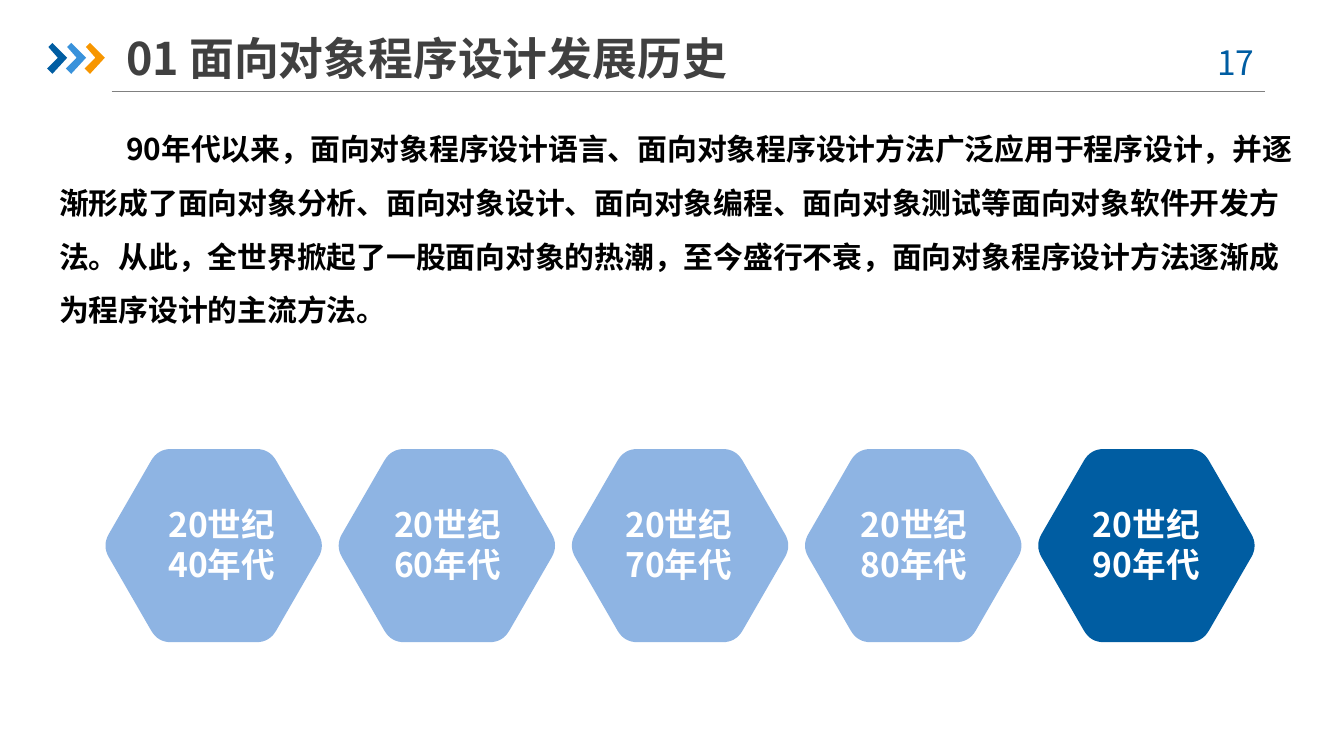
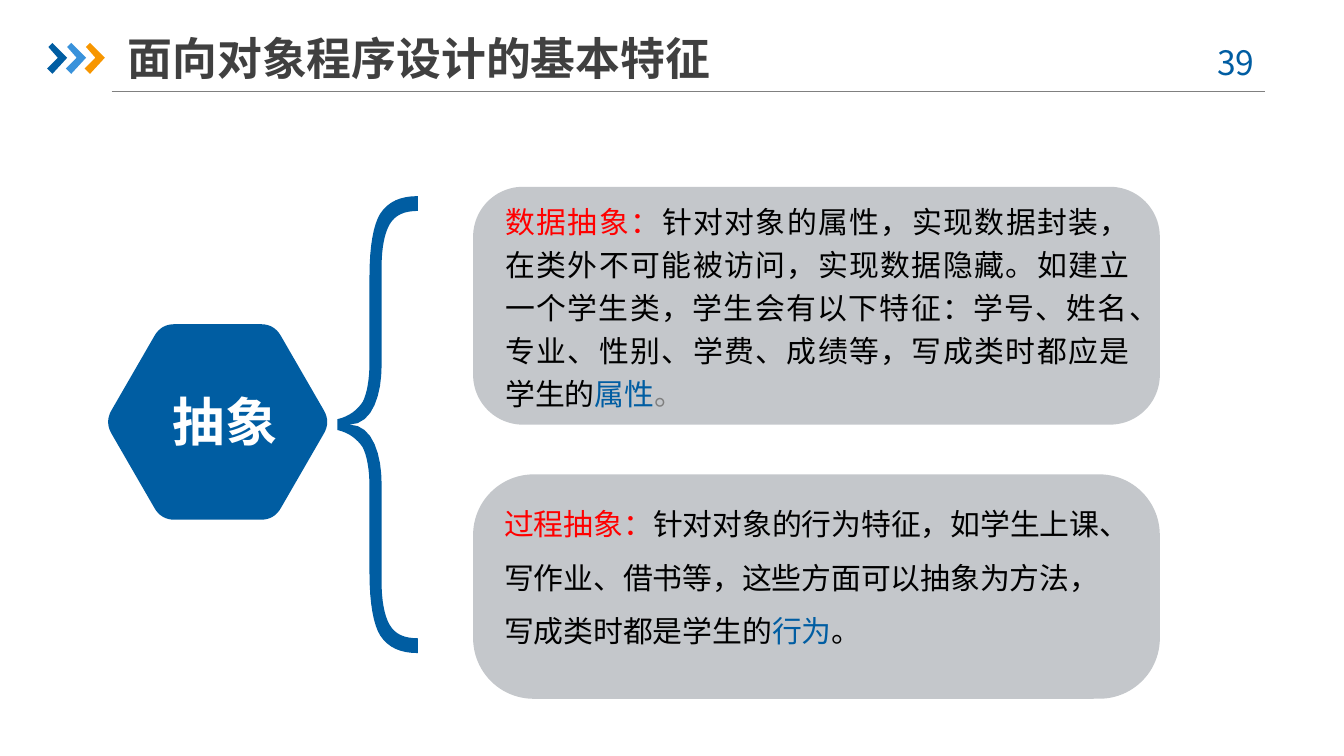
"""Build two slides on object-oriented programming."""
import math

from lxml import etree
from pptx import Presentation
from pptx import util as u
from pptx.dml.color import RGBColor
from pptx.enum import shapes, text
from pptx.oxml import ns

FONT = "Noto Sans CJK SC"
BLUE = RGBColor(0x00, 0x5D, 0xA2)
SKY = RGBColor(0x39, 0x92, 0xDB)
ORANGE = RGBColor(0xF7, 0x96, 0x00)
PALE = RGBColor(0x8E, 0xB4, 0xE3)
PANEL = RGBColor(0xC4, 0xC7, 0xCB)
RULE = RGBColor(0x80, 0x80, 0x80)
DARK = RGBColor(0x40, 0x40, 0x40)
GRAY = RGBColor(0x7F, 0x7F, 0x7F)
RED = RGBColor(0xFF, 0x00, 0x00)
BLACK = RGBColor(0x00, 0x00, 0x00)
WHITE = RGBColor(0xFF, 0xFF, 0xFF)
LEFT, CENTER, JUSTIFY = (text.PP_ALIGN.LEFT, text.PP_ALIGN.CENTER,
                         text.PP_ALIGN.JUSTIFY)


def bezier(*points, steps=8):
    n = len(points) - 1
    curve = []
    for i in range(steps + 1):
        t = i / steps
        weights = [math.comb(n, k) * t ** k * (1 - t) ** (n - k)
                   for k in range(n + 1)]
        curve.append(tuple(sum(w * pt[axis] for w, pt in zip(weights, points))
                           for axis in (0, 1)))
    return curve


def add_run(p, content, size=16, color=BLACK, bold=False):
    r = p.add_run()
    r.text = content
    r.font.size = u.Pt(size)
    r.font.bold = bold
    r.font.name = FONT
    r.font.color.rgb = color
    rpr = r.font._element
    rpr.set("lang", "zh-CN")
    etree.SubElement(rpr, ns.qn("a:ea")).set("typeface", FONT)


def write(p, runs, align=LEFT, spacing=None, indent=0, **style):
    if indent:
        p._p.get_or_add_pPr().set("indent", str(u.Inches(indent)))
    p.alignment = align
    if spacing:
        p.line_spacing = spacing
    if isinstance(runs, str):
        runs = [(runs, style.pop("color", BLACK))]
    for content, color in runs:
        add_run(p, content, color=color, **style)


class Deck:
    def __init__(self):
        self.prs = Presentation()
        self.prs.slide_width = u.Inches(10)
        self.prs.slide_height = u.Inches(10 * 9 / 16)
        self.s = None

    def slide(self, title, number, left, width):
        self.s = self.prs.slides.add_slide(self.prs.slide_layouts[5])
        self.rule(0.83, 9.41, 0.68)
        for i, color in enumerate((BLUE, SKY, ORANGE)):
            x = 0.35 + 0.14 * i
            self.outline([(x + 0.01, 0.35), (x + 0.04, 0.32),
                          (x + 0.15, 0.43), (x + 0.04, 0.55),
                          (x, 0.51), (x + 0.08, 0.43)], color)
        self.text(8.86, 0.26, 0.73, 0.4, [f"{number} "], inset=(0.1, 0.05),
                  size=18, color=BLUE, align=CENTER)
        sp = self.s.shapes.title
        sp.left, sp.top = u.Inches(left), u.Inches(0.22)
        sp.width, sp.height = u.Inches(width), u.Inches(0.42)
        tf = self.frame(sp, (0, 0.05), text.MSO_ANCHOR.MIDDLE)
        write(tf.paragraphs[0], title, size=24, color=DARK, bold=True)

    def frame(self, sp, inset, anchor):
        tf = sp.text_frame
        tf.word_wrap = True
        tf.auto_size = text.MSO_AUTO_SIZE.NONE
        tf.vertical_anchor = anchor
        tf.margin_left = tf.margin_right = u.Inches(inset[0])
        tf.margin_top = tf.margin_bottom = u.Inches(inset[1])
        return tf

    def text(self, x, y, w, h, paragraphs, inset=(0, 0), **style):
        sp = self.s.shapes.add_textbox(u.Inches(x), u.Inches(y),
                                       u.Inches(w), u.Inches(h))
        tf = self.frame(sp, inset, text.MSO_ANCHOR.TOP)
        for i, runs in enumerate(paragraphs):
            p = tf.add_paragraph() if i else tf.paragraphs[0]
            write(p, runs, **style)

    def paint(self, sp, color):
        sp.shadow.inherit = False
        sp.fill.solid()
        sp.fill.fore_color.rgb = color
        sp.line.fill.background()

    def rule(self, x1, x2, y):
        line = self.s.shapes.add_connector(
            shapes.MSO_CONNECTOR.STRAIGHT, u.Inches(x1), u.Inches(y),
            u.Inches(x2), u.Inches(y))
        line.line.color.rgb = RULE
        line.line.width = u.Pt(0.75)
        etree.SubElement(line._element.spPr, ns.qn("a:effectLst"))

    def outline(self, points, color):
        start, *rest = [(u.Inches(x), u.Inches(y)) for x, y in points]
        builder = self.s.shapes.build_freeform(*start)
        builder.add_line_segments(rest, close=True)
        self.paint(builder.convert_to_shape(), color)

    def hexagon(self, cx, cy, radius, color, cut=0.1):
        corners = [(cx + radius * math.cos(math.radians(a)),
                    cy + radius * math.sin(math.radians(a)))
                   for a in range(0, 360, 60)]
        share = cut / radius
        points = []
        for i, (x, y) in enumerate(corners):
            (px, py), (nx, ny) = corners[i - 1], corners[(i + 1) % 6]
            points += bezier((x + (px - x) * share, y + (py - y) * share),
                             (x, y),
                             (x + (nx - x) * share, y + (ny - y) * share))
        self.outline(points, color)

    def brace(self, middle, color):
        upper = [
            *bezier((2.51, 3.12), (2.6, 3.1), (2.66, 3.05), (2.7, 2.99)),
            *bezier((2.7, 2.99), (2.73, 2.93), (2.75, 2.83), (2.75, 2.69)),
            *bezier((2.75, 2.05), (2.75, 1.83), (2.78, 1.67), (2.83, 1.59)),
            *bezier((2.83, 1.59), (2.89, 1.5), (2.98, 1.46), (3.11, 1.46)),
            *bezier((3.11, 1.57), (3.01, 1.57), (2.94, 1.6), (2.9, 1.67)),
            *bezier((2.9, 1.67), (2.86, 1.74), (2.84, 1.85), (2.84, 1.99)),
            *bezier((2.84, 2.72), (2.84, 2.92), (2.78, 3.16), (2.6, 3.16)),
        ]
        lower = [(x, 2 * middle - y) for x, y in reversed(upper)]
        self.outline(upper + lower, color)

    def panel(self, y, h, corner):
        sp = self.s.shapes.add_shape(
            shapes.MSO_SHAPE.ROUNDED_RECTANGLE, u.Inches(3.52), u.Inches(y),
            u.Inches(5.11), u.Inches(h))
        sp.adjustments[0] = corner
        self.paint(sp, PANEL)
        return sp


def history(deck):
    deck.slide("01 面向对象程序设计发展历史", 17, 0.94, 4.69)
    deck.text(0.44, 0.84, 9.28, 1.58, [
        "90年代以来，面向对象程序设计语言、面向对象程序设计方法广泛应用于程序设计，"
        "并逐渐形成了面向对象分析、面向对象设计、面向对象编程、面向对象测试等"
        "面向对象软件开发方法。从此，全世界掀起了一股面向对象的热潮，至今盛行不衰，"
        "面向对象程序设计方法逐渐成为程序设计的主流方法。"],
        spacing=1.5, indent=0.5, bold=True)
    decades = [(1.12, ["20世纪", "40年代"]), (2.8, ["20世纪", "60年代"]),
               (4.52, ["20世纪70年代"]), (6.27, ["20世纪", "80年代"]),
               (8, ["20世纪90年代"])]
    for i, (left, label) in enumerate(decades):
        current = i == len(decades) - 1
        deck.hexagon(1.59 + 6.94 / 4 * i, 4.06, 0.83,
                     BLUE if current else PALE)
        deck.text(left, 3.75, 1.06, 0.61, label, size=18, color=WHITE,
                  bold=True, align=CENTER)


def abstraction(deck):
    deck.slide("面向对象程序设计的基本特征", 39, 0.95, 5.07)
    deck.hexagon(1.62, 3.14, 0.84, BLUE)
    deck.text(1.18, 2.9, 0.99, 0.47, ["抽象"], size=28, color=WHITE,
              bold=True, align=CENTER)
    deck.panel(1.39, 1.77, 0.21)
    deck.brace(3.16, BLUE)
    deck.text(3.76, 1.46, 4.65, 1.61, [[
        ("数据抽象：", RED),
        ("针对对象的属性，实现数据封装，在类外不可能被访问，实现数据隐藏。"
         "如建立一个学生类，学生会有以下特征：学号、姓名、专业、性别、学费、成绩等，"
         "写成类时都应是学生的", BLACK),
        ("属性", BLUE), ("。", GRAY)]], align=JUSTIFY, spacing=1.2)
    sp = deck.panel(3.53, 1.67, 0.27)
    tf = deck.frame(sp, (0.1, 0.05), text.MSO_ANCHOR.MIDDLE)
    tf.margin_bottom = u.Inches(0.32)
    write(tf.paragraphs[0], [
        ("过程抽象：", RED),
        ("针对对象的行为特征，如学生上课、写作业、借书等，这些方面可以抽象为方法，"
         "写成类时都是学生的", BLACK),
        ("行为", BLUE), ("。", BLACK)], spacing=1.5)


def main():
    deck = Deck()
    history(deck)
    abstraction(deck)
    deck.prs.save("out.pptx")


if __name__ == "__main__":
    main()
